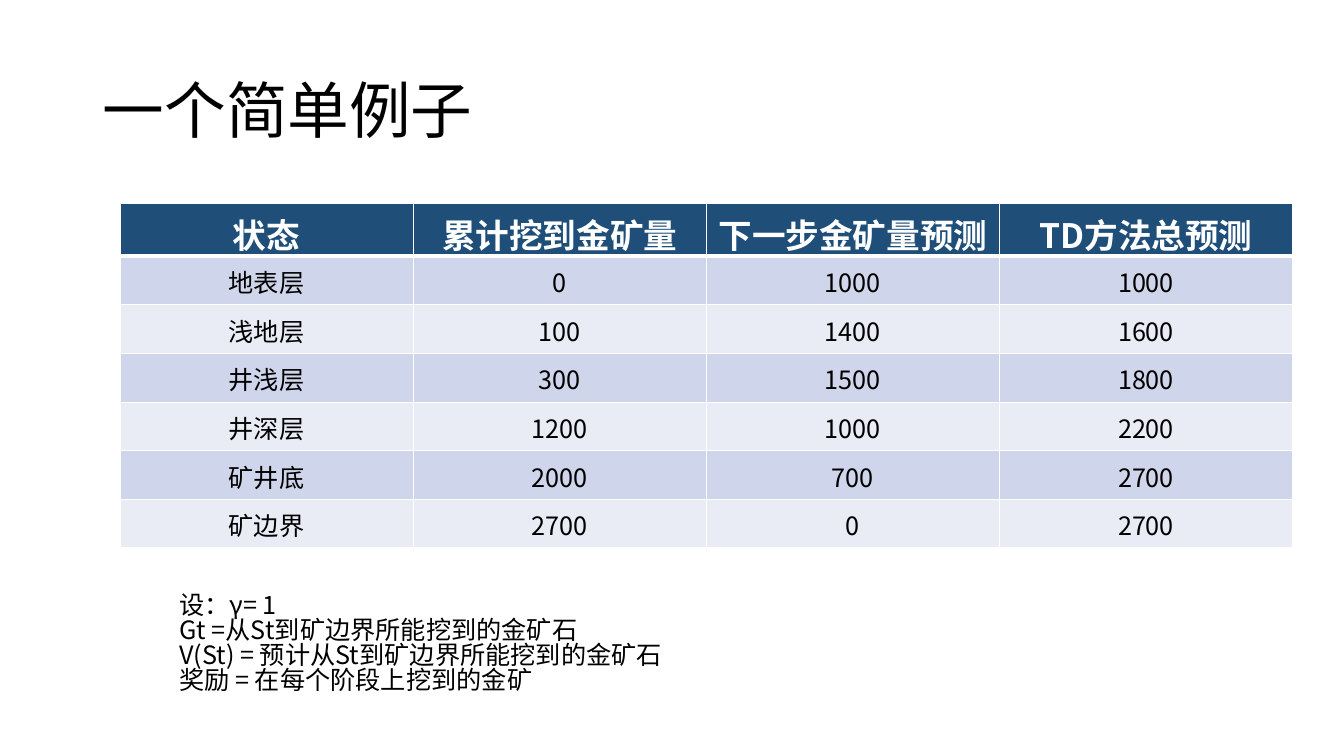
from lxml.etree import SubElement
from pptx import Presentation
from pptx.dml.color import RGBColor
from pptx.enum.text import MSO_ANCHOR, MSO_AUTO_SIZE, PP_ALIGN
from pptx.oxml import parse_xml
from pptx.oxml.ns import nsdecls, qn
from pptx.util import Inches, Pt

FONT = "Noto Sans CJK SC"
BLACK = RGBColor(0x00, 0x00, 0x00)
WHITE = RGBColor(0xFF, 0xFF, 0xFF)
NAVY = RGBColor(0x1F, 0x4E, 0x79)
BANDS = RGBColor(0xE9, 0xEB, 0xF5), RGBColor(0xCF, 0xD5, 0xEA)

TITLE = "一个简单例子"
MINE = [
    ("状态", "累计挖到金矿量", "下一步金矿量预测", "TD方法总预测"),
    ("地表层", 0, 1000, 1000),
    ("浅地层", 100, 1400, 1600),
    ("井浅层", 300, 1500, 1800),
    ("井深层", 1200, 1000, 2200),
    ("矿井底", 2000, 700, 2700),
    ("矿边界", 2700, 0, 2700),
]
NOTES = [
    "设：γ= 1",
    "Gt =从St到矿边界所能挖到的金矿石",
    "V(St) = 预计从St到矿边界所能挖到的金矿石",
    "奖励 = 在每个阶段上挖到的金矿",
]


def write(frame, *lines, size=18, color=BLACK, bold=False,
          align=PP_ALIGN.LEFT, space=0.83):
    """Fill a text frame with one formatted paragraph per line."""
    for i, line in enumerate(lines):
        para = frame.add_paragraph() if i else frame.paragraphs[0]
        para.alignment = align
        para.line_spacing = space
        run = para.add_run()
        run.text = line
        font = run.font
        font.name, font.size, font.bold = FONT, Pt(size), bold
        font.color.rgb = color
        SubElement(run._r.get_or_add_rPr(), qn("a:ea"), typeface=FONT)


def edge(cell, side, width):
    """Draw one white border of a cell; side is L, R, T or B."""
    cell._tc.get_or_add_tcPr().append(parse_xml(
        f'<a:ln{side} {nsdecls("a")} w="{Pt(width)}"><a:solidFill>'
        f'<a:srgbClr val="{WHITE}"/></a:solidFill></a:ln{side}>'))


class Deck:
    def __init__(self):
        self.prs = Presentation()
        self.prs.slide_width = Inches(13.33)
        self.prs.slide_height = Inches(7.5)
        self.slide = self.prs.slides.add_slide(self.prs.slide_layouts[5])

    def title(self, text, *box):
        shape = self.slide.shapes.title
        shape.left, shape.top, shape.width, shape.height = map(Inches, box)
        frame = shape.text_frame
        frame.vertical_anchor = MSO_ANCHOR.MIDDLE
        write(frame, text, size=44, space=0.9)

    def table(self, rows, *box):
        grid = self.slide.shapes.add_table(
            len(rows), len(rows[0]), *map(Inches, box)).table
        for r, row in enumerate(rows):
            head = r == 0
            for c, value in enumerate(row):
                cell = grid.cell(r, c)
                cell.margin_top, cell.margin_bottom = Inches(0.12), 0
                edge(cell, "L", 1)
                edge(cell, "R", 1)
                edge(cell, "T", 3 if r == 1 else 1)
                edge(cell, "B", 3 if head else 1)
                cell.fill.solid()
                cell.fill.fore_color.rgb = NAVY if head else BANDS[r % 2]
                write(cell.text_frame, str(value), size=24 if head else 18,
                      color=WHITE if head else BLACK, bold=head,
                      align=PP_ALIGN.CENTER)

    def text(self, lines, *box):
        frame = self.slide.shapes.add_textbox(*map(Inches, box)).text_frame
        frame.word_wrap = True
        frame.auto_size = MSO_AUTO_SIZE.SHAPE_TO_FIT_TEXT
        write(frame, *lines)


def main():
    deck = Deck()
    deck.title(TITLE, 0.92, 0.4, 11.5, 1.45)
    deck.table(MINE, 1.19, 2.02, 11.63, 3.38)
    deck.text(NOTES, 1.68, 5.85, 11.14, 1.31)
    deck.prs.save("out.pptx")


if __name__ == "__main__":
    main()
